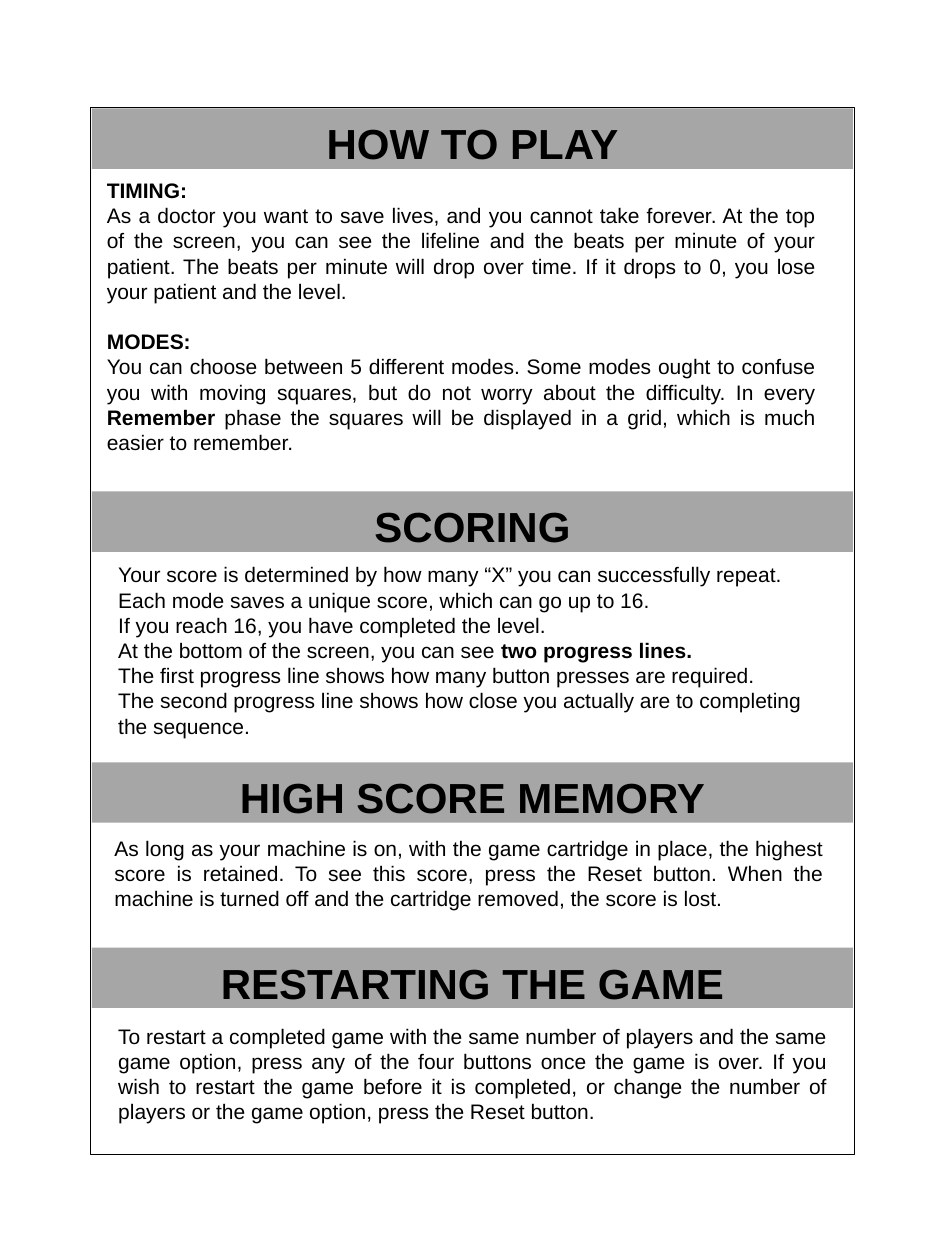
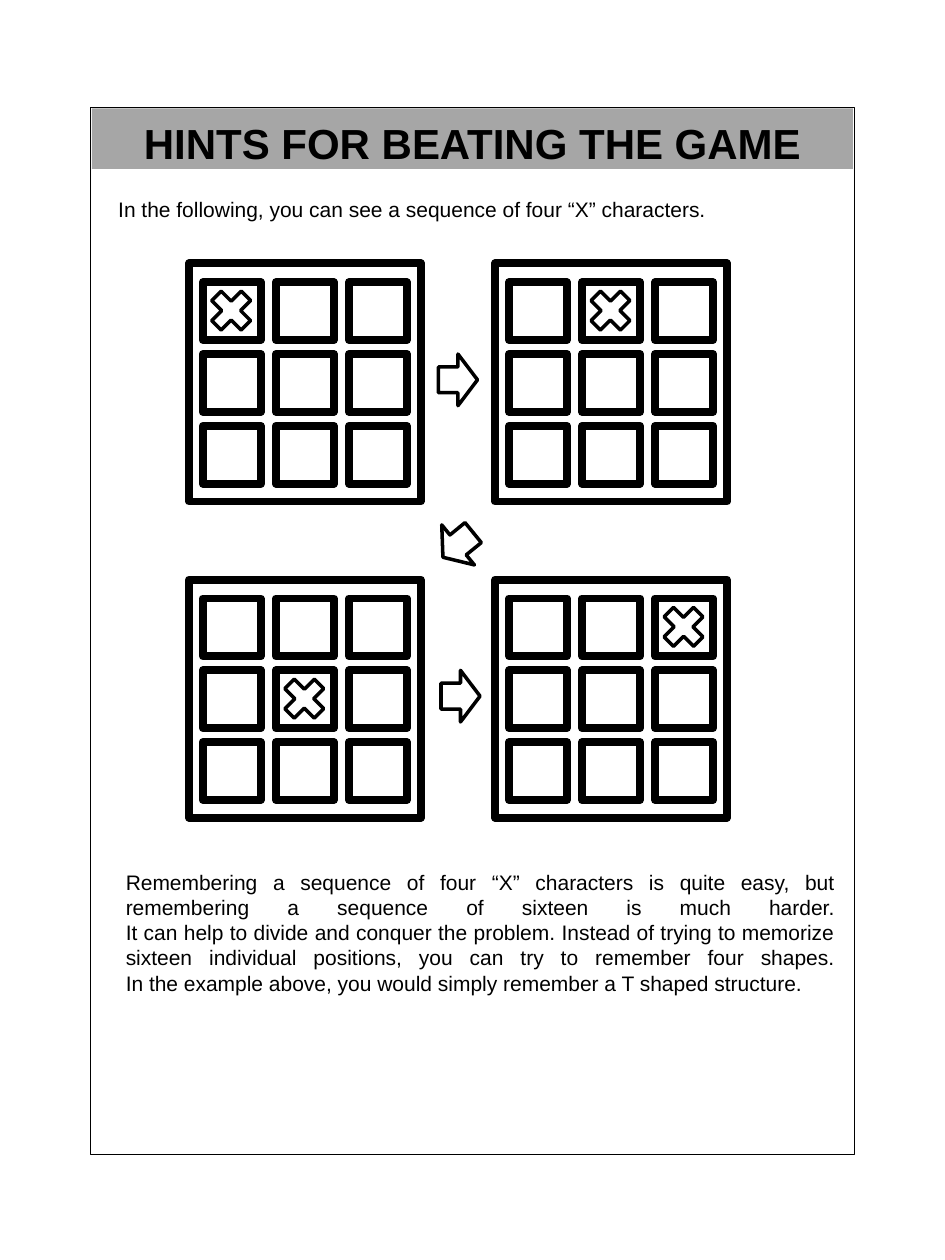
from dataclasses import dataclass

from lxml import etree
from pptx import Presentation
from pptx.dml.color import RGBColor
from pptx.enum.shapes import MSO_SHAPE
from pptx.enum.text import MSO_ANCHOR, MSO_AUTO_SIZE, PP_ALIGN
from pptx.oxml.ns import qn
from pptx.util import Emu, Pt

RECTANGLE = MSO_SHAPE.RECTANGLE
ARROW = MSO_SHAPE.RIGHT_ARROW
CROSS = MSO_SHAPE.MATH_MULTIPLY
LEFT, CENTER, JUSTIFY = PP_ALIGN.LEFT, PP_ALIGN.CENTER, PP_ALIGN.JUSTIFY
MIDDLE, TOP = MSO_ANCHOR.MIDDLE, MSO_ANCHOR.TOP
NO_FIT, GROW = MSO_AUTO_SIZE.NONE, MSO_AUTO_SIZE.SHAPE_TO_FIT_TEXT

PX = 9144  # EMU in one px, 100 px to the inch
TITLE_ONLY = 5

# Page geometry
PAGE = (750, 1000)
FRAME = (72, 85, 606, 831)
BANNER_LEFT, BANNER_WIDTH, BANNER_HEIGHT = 73, 604, 48
TITLE_TOP = 86
TEXT_WIDTH = 583

# Game board geometry
BOARD_WIDTH, BOARD_HEIGHT = 184, 189
BOARD_COLUMNS, BOARD_ROWS = (150, 393), (209, 460)
CELL, MARK = 46, 45
CELL_LEFT, CELL_TOP = 11, 15
CELL_STEP_X, CELL_STEP_Y = 58, 57
ARROW_WIDTH, ARROW_HEIGHT = 31, 41


@dataclass(frozen=True)
class Theme:
    font: str = "Arial"
    ink: RGBColor = RGBColor(0, 0, 0)
    paper: RGBColor = RGBColor(255, 255, 255)
    band: RGBColor = RGBColor(0xA6, 0xA6, 0xA6)
    heading_size: float = 24
    body_size: float = 12
    body_leading: float = 14.4
    frame_line: float = 0.5
    board_line: float = 4.5
    symbol_line: float = 2


class Manual:
    def __init__(self, theme):
        self.theme = theme
        self.presentation = Presentation()
        self.presentation.slide_width = Emu(PAGE[0] * PX)
        self.presentation.slide_height = Emu(PAGE[1] * PX)
        self.slide = None

    def add_page(self, title):
        """Start a slide with the page frame and its title band."""
        layout = self.presentation.slide_layouts[TITLE_ONLY]
        self.slide = self.presentation.slides.add_slide(layout)
        self.shape(RECTANGLE, *FRAME, line=self.theme.frame_line)
        placeholder = self.slide.shapes.title
        placeholder.left, placeholder.top = BANNER_LEFT * PX, TITLE_TOP * PX
        placeholder.width, placeholder.height = BANNER_WIDTH * PX, BANNER_HEIGHT * PX
        self.format_band(placeholder, title)

    def shape(self, kind, left, top, width, height, fill=None, line=None):
        shape = self.slide.shapes.add_shape(
            kind, left * PX, top * PX, width * PX, height * PX)
        shape.shadow.inherit = False
        if fill is None:
            shape.fill.background()
        else:
            shape.fill.solid()
            shape.fill.fore_color.rgb = fill
        if line is None:
            shape.line.fill.background()
        else:
            shape.line.color.rgb = self.theme.ink
            shape.line.width = Pt(line)
            # Round line joins
            outline = shape.element.spPr.find(qn("a:ln"))
            etree.SubElement(outline, qn("a:round"))
        return shape

    def add_run(self, paragraph, text, size, bold):
        run = paragraph.add_run()
        run.text = text
        run.font.name = self.theme.font
        run.font.size = Pt(size)
        run.font.bold = bold
        run.font.color.rgb = self.theme.ink

    def format_band(self, shape, text):
        shape.fill.solid()
        shape.fill.fore_color.rgb = self.theme.band
        frame = shape.text_frame
        frame.word_wrap = True
        frame.auto_size = NO_FIT
        frame.vertical_anchor = MIDDLE
        frame.margin_top, frame.margin_bottom = 10 * PX, 3 * PX
        paragraph = frame.paragraphs[0]
        paragraph.alignment = CENTER
        self.add_run(paragraph, text, self.theme.heading_size, True)

    def banner(self, top, text):
        band = self.shape(RECTANGLE, BANNER_LEFT, top, BANNER_WIDTH,
                          BANNER_HEIGHT, self.theme.band)
        self.format_band(band, text)

    def body(self, left, top, height, paragraphs, alignment=JUSTIFY, gaps=()):
        """Each paragraph is a list of (text, bold); gaps lists those set off by a line."""
        box = self.slide.shapes.add_textbox(
            left * PX, top * PX, TEXT_WIDTH * PX, height * PX)
        frame = box.text_frame
        frame.word_wrap = True
        frame.auto_size = GROW
        frame.vertical_anchor = TOP
        leading = Pt(self.theme.body_leading)
        for index, runs in enumerate(paragraphs):
            paragraph = frame.add_paragraph() if index else frame.paragraphs[0]
            paragraph.alignment = alignment
            paragraph.line_spacing = leading
            if index in gaps:
                paragraph.space_before = leading
            for text, bold in runs:
                for number, line in enumerate(text.split("\n")):
                    if number:
                        paragraph.add_line_break()
                    self.add_run(paragraph, line, self.theme.body_size, bold)

    def symbol(self, kind, left, top, width, height, rotation=0):
        shape = self.shape(kind, left, top, width, height,
                           self.theme.paper, self.theme.symbol_line)
        shape.rotation = rotation

    def board(self, left, top, marked):
        """Draw a 3 by 3 board with a cross in the marked (row, column)."""
        style = (self.theme.paper, self.theme.board_line)
        self.shape(RECTANGLE, left, top, BOARD_WIDTH, BOARD_HEIGHT, *style)
        for row in range(3):
            for column in range(3):
                x = left + CELL_LEFT + column * CELL_STEP_X
                y = top + CELL_TOP + row * CELL_STEP_Y
                self.shape(RECTANGLE, x, y, CELL, CELL, *style)
                if (row, column) == marked:
                    self.symbol(CROSS, x, y, MARK, MARK)


def build_rules(manual):
    manual.add_page("HOW TO PLAY")
    manual.body(75, 136, 232, [
        [("TIMING:", True)],
        [("As a doctor you want to save lives, and you cannot take forever. "
          "At the top of the screen, you can see the lifeline and the beats per "
          "minute of your patient. The beats per minute will drop over time. "
          "If it drops to 0, you lose your patient and the level.", False)],
        [("MODES:", True)],
        [("You can choose between 5 different modes. Some modes ought to confuse "
          "you with moving squares, but do not worry about the difficulty. "
          "In every ", False),
         ("Remember", True),
         (" phase the squares will be displayed in a grid, which is much easier "
          "to remember.", False)],
    ], gaps=(2,))

    manual.banner(390, "SCORING")
    manual.body(84, 441, 151, [
        [("Your score is determined by how many “X” you can successfully repeat.\n"
          "Each mode saves a unique score, which can go up to 16.\n"
          "If you reach 16, you have completed the level.", False)],
        [("At the bottom of the screen, you can see ", False),
         ("two progress lines.", True)],
        [("The first progress line shows how many button presses are required.",
          False)],
        [("The second progress line shows how close you actually are to "
          "completing the sequence.", False)],
    ], LEFT)

    manual.banner(605, "HIGH SCORE MEMORY")
    manual.body(81, 658, 71, [[
        ("As long as your machine is on, with the game cartridge in place, the "
         "highest score is retained. To see this score, press the Reset button. "
         "When the machine is turned off and the cartridge removed, the score "
         "is lost.", False)]])

    manual.banner(752, "RESTARTING THE GAME")
    manual.body(84, 807, 91, [[
        ("To restart a completed game with the same number of players and the "
         "same game option, press any of the four buttons once the game is over. "
         "If you wish to restart the game before it is completed, or change the "
         "number of players or the game option, press the Reset button.", False)]])


def build_hints(manual):
    manual.add_page("HINTS FOR BEATING THE GAME")
    manual.body(84, 151, 30, [[
        ("In the following, you can see a sequence of four “X” characters.",
         False)]])

    # Four boards in reading order
    marked_cells = ((0, 0), (0, 1), (1, 1), (0, 2))
    for index, marked in enumerate(marked_cells):
        row, column = divmod(index, 2)
        manual.board(BOARD_COLUMNS[column], BOARD_ROWS[row], marked)

    # Arrows from board to board
    for left, top, rotation in ((348, 281, 0), (348, 412, 140.8), (350, 532, 0)):
        manual.symbol(ARROW, left, top, ARROW_WIDTH, ARROW_HEIGHT, rotation)

    manual.body(90, 685, 111, [[
        ("Remembering a sequence of four “X” characters is quite easy, but "
         "remembering a sequence of sixteen is much harder.\n"
         "It can help to divide and conquer the problem. Instead of trying to "
         "memorize sixteen individual positions, you can try to remember four "
         "shapes.\n"
         "In the example above, you would simply remember a T shaped structure.",
         False)]])


def main():
    manual = Manual(Theme())
    build_rules(manual)
    build_hints(manual)
    manual.presentation.save("out.pptx")


if __name__ == "__main__":
    main()
